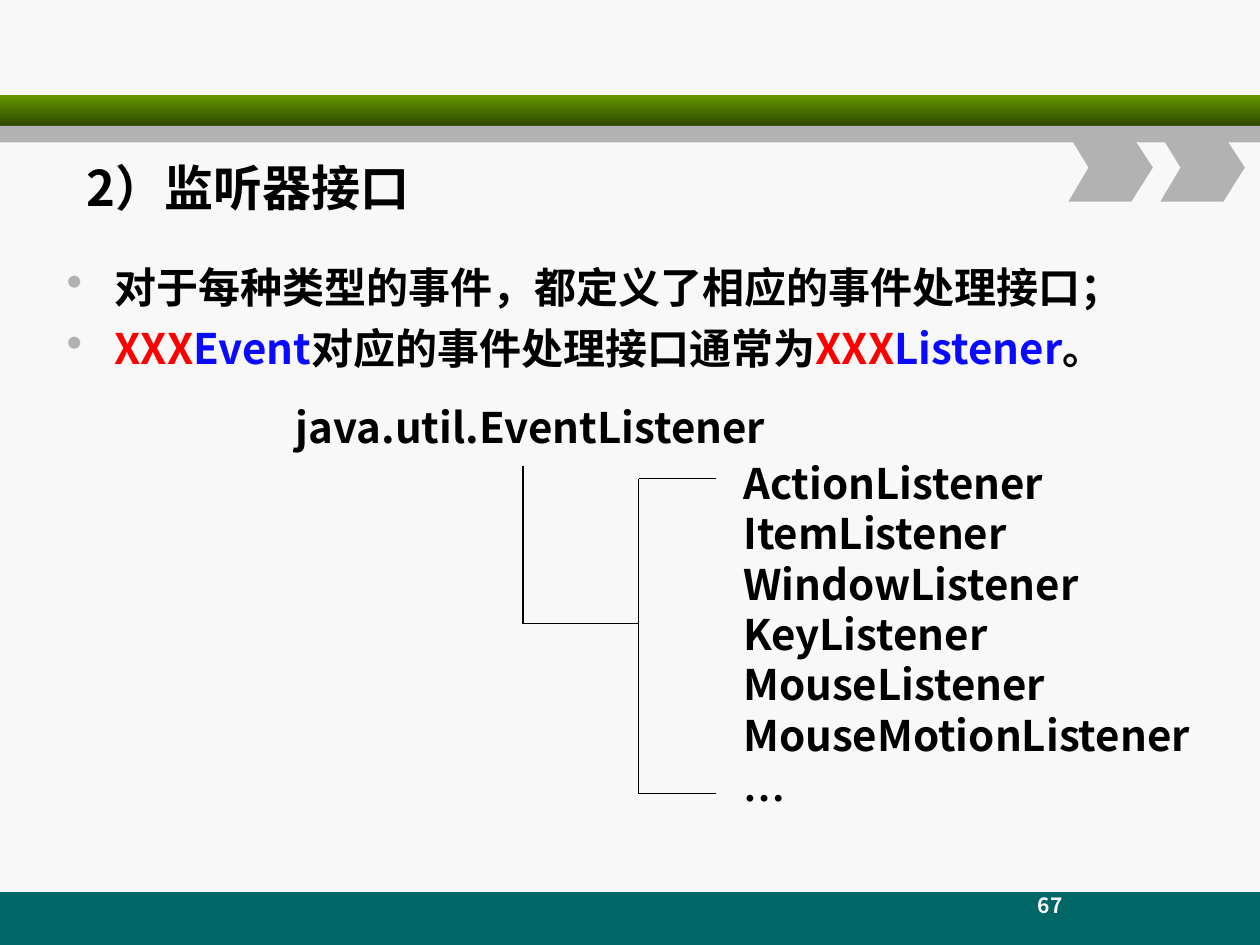
from lxml.etree import SubElement
from pptx import Presentation
from pptx.dml.color import RGBColor
from pptx.enum.shapes import MSO_CONNECTOR, MSO_SHAPE
from pptx.enum.text import MSO_ANCHOR, PP_ALIGN
from pptx.oxml.ns import qn
from pptx.util import Inches, Pt

BLACK, RED, BLUE, GRAY, PALE = "000000", "FF0000", "0A0AFF", "B2B2B2", "F8F8F8"
GREEN, DARK_GREEN, TEAL = "669900", "2F4700", "006666"
SANS, SERIF = "Noto Sans CJK SC", "Times New Roman"


def color(value):
    return RGBColor.from_string(value)


def add_run(paragraph, text, size=24, fill=BLACK, font=SANS):
    run = paragraph.add_run()
    run.text = text
    run.font.size, run.font.bold, run.font.name = Pt(size), True, font
    run.font.color.rgb = color(fill)
    SubElement(run.font._element, qn("a:ea"), typeface=font)


def add_bullet(paragraph):
    properties = paragraph._p.get_or_add_pPr()
    properties.set("marL", str(Inches(0.38)))
    properties.set("indent", str(-Inches(0.38)))
    bullet_color = SubElement(properties, qn("a:buClr"))
    SubElement(bullet_color, qn("a:srgbClr"), val=GRAY)
    SubElement(properties, qn("a:buSzPct"), val="110000")
    SubElement(properties, qn("a:buChar"), char="•")


class SlideBuilder:
    """Holds the current slide and draws each kind of element in its style."""

    def __init__(self, slide):
        self.slide = slide
        self.shapes = slide.shapes
        slide.background.fill.solid()
        slide.background.fill.fore_color.rgb = color(PALE)

    def paint(self, shape, fill):
        shape.shadow.inherit = False
        shape.line.fill.background()
        shape.fill.solid()
        shape.fill.fore_color.rgb = color(fill)

    def band(self, top, height, fill, fade_to=None):
        band = self.shapes.add_shape(
            MSO_SHAPE.RECTANGLE, 0, Inches(top), Inches(10), Inches(height))
        self.paint(band, fill)
        if fade_to:
            band.fill.gradient()
            band.fill.gradient_angle = 270
            for stop, shade in zip(band.fill.gradient_stops, (fill, fade_to)):
                stop.color.rgb = color(shade)

    def chevron(self, left, top=1.07):
        outline = [(0, 0), (0.5, 0), (0.67, 0.26), (0.5, 0.53), (0, 0.53), (0.16, 0.26)]
        points = [(Inches(left + x), Inches(top + y)) for x, y in outline]
        builder = self.shapes.build_freeform(*points[0])
        builder.add_line_segments(points[1:], close=True)
        self.paint(builder.convert_to_shape(), GRAY)

    def line(self, x1, y1, x2, y2):
        line = self.shapes.add_connector(
            MSO_CONNECTOR.STRAIGHT, Inches(x1), Inches(y1), Inches(x2), Inches(y2))
        line.line.color.rgb = color(BLACK)
        line.line.width = Pt(0.75)
        SubElement(line._element.spPr, qn("a:effectLst"))

    def text(self, box, paragraphs, align=PP_ALIGN.LEFT, anchor=MSO_ANCHOR.TOP,
             spacing=28.8, before=0, bullets=False, wrap=True):
        frame = self.shapes.add_textbox(*map(Inches, box)).text_frame
        frame.word_wrap, frame.vertical_anchor = wrap, anchor
        for index, runs in enumerate(paragraphs):
            paragraph = frame.add_paragraph() if index else frame.paragraphs[0]
            if bullets:
                add_bullet(paragraph)
            paragraph.alignment = align
            if spacing:
                paragraph.line_spacing = Pt(spacing)
            paragraph.space_before = Pt(before if index else 0)
            for content, style in runs:
                add_run(paragraph, content, **style)


def main():
    deck = Presentation()
    deck.slide_width, deck.slide_height = Inches(10), Inches(7.5)
    page = SlideBuilder(deck.slides.add_slide(deck.slide_layouts[6]))

    page.band(7.08, 0.42, TEAL)
    page.band(0.75, 0.25, GREEN, fade_to=DARK_GREEN)
    page.band(1, 0.13, GRAY)
    for left in (8.48, 9.21):
        page.chevron(left)

    page.text((7.17, 6.83, 2.33, 0.5), [[("67", {"size": 12, "fill": PALE})]],
              align=PP_ALIGN.CENTER, anchor=MSO_ANCHOR.BOTTOM, spacing=None)
    page.text((0.59, 1.15, 4.02, 0.67), [[("2）监听器接口", {"size": 28})]],
              anchor=MSO_ANCHOR.MIDDLE, spacing=33.6)

    prefix = ("XXX", {"fill": RED})
    naming_rule = [prefix, ("Event", {"fill": BLUE}), ("对应的事件处理接口通常为", {}),
                   prefix, ("Listener", {"fill": BLUE}), ("。", {})]
    page.text((0.43, 2.03, 9.57, 1.11),
              [[("对于每种类型的事件，都定义了相应的事件处理接口；", {})], naming_rule],
              before=6, bullets=True)

    page.text((1.02, 3.14, 5.15, 0.5), [[("java.util.EventListener", {})]],
              align=PP_ALIGN.RIGHT)
    events = ("Action", "Item", "Window", "Key", "Mouse", "MouseMotion")
    listeners = [[(f"{event}Listener", {})] for event in events]
    page.text((5.8, 3.58, 3.85, 3.3), listeners + [[("…", {"font": SERIF})]])

    trunk, fork, tip = 4.15, 5.07, 5.68
    first, middle, last = 3.8, 4.95, 6.3
    page.line(trunk, 3.7, trunk, middle)
    page.line(trunk, middle, fork, middle)
    page.line(fork, first, fork, last)
    for branch in (first, last):
        page.line(fork, branch, tip, branch)

    deck.save("out.pptx")


if __name__ == "__main__":
    main()
